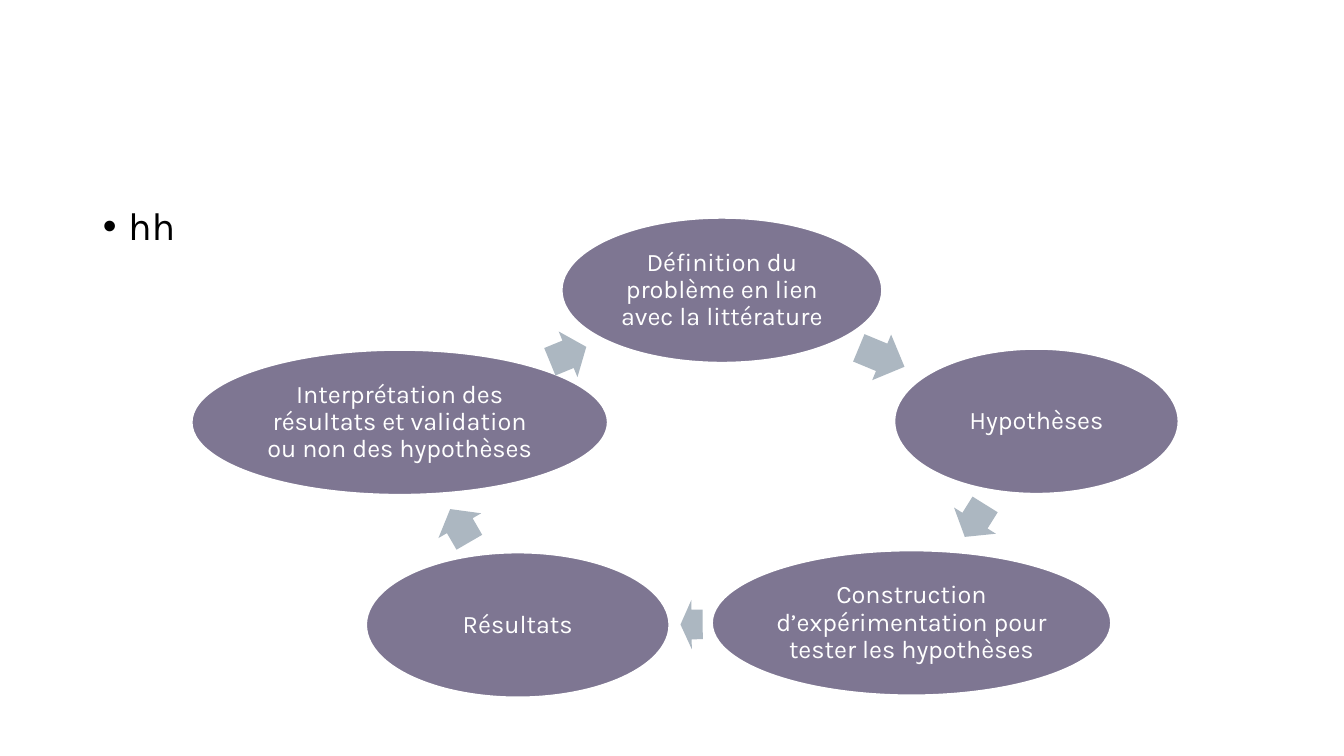
from pptx import Presentation
from pptx.dml.color import RGBColor
from pptx.enum.shapes import MSO_SHAPE
from pptx.enum.text import MSO_ANCHOR, PP_ALIGN
from pptx.oxml.ns import qn
from pptx.util import Inches, Pt
from lxml import etree

OVAL, ARROW = MSO_SHAPE.OVAL, MSO_SHAPE.RIGHT_ARROW
MIDDLE, CENTER = MSO_ANCHOR.MIDDLE, PP_ALIGN.CENTER
PURPLE = RGBColor(0x7E, 0x76, 0x92)
GREY = RGBColor(0xAC, 0xB7, 0xC1)
WHITE = RGBColor(0xFF, 0xFF, 0xFF)
BLACK = RGBColor(0, 0, 0)
FONT = "Karla"
W, H = Inches(13.33), Inches(7.5)
STEP_HEIGHT, ARROW_HEIGHT = 19.2, 6.53

STEPS = [
    ("Définition du problème en lien avec la littérature", 53.71, 38.4, 23.86),
    ("Hypothèses", 77.12, 55.73, 21.16),
    ("Construction d’expérimentation pour tester les hypothèses", 67.82, 82.4, 29.71),
    ("Résultats", 38.52, 82.67, 22.58),
    ("Interprétation des résultats et validation ou non des hypothèses", 29.74, 55.87, 30.98),
]
ARROWS = [
    (65.6, 47.27, 3.68, 22.5),
    (72.54, 68.87, 2.85, 122),
    (51.46, 82.6, 1.65, 179.6),
    (34.21, 69.53, 2.85, 239.9),
    (42.27, 46.87, 2.93, 337.7),
]


def across(percent):
    """Return a share of the slide width."""
    return round(W * percent / 100)


def down(percent):
    """Return a share of the slide height."""
    return round(H * percent / 100)


def style_paragraph(p, size, color):
    """Set the font and line spacing of a paragraph."""
    p.font.name = FONT
    p.font.size = Pt(size)
    p.font.color.rgb = color
    p.line_spacing = 0.9


def add_centred(s, kind, cx, cy, width, height, color):
    """Add a filled shape around a centre given in slide shares."""
    sp = s.shapes.add_shape(kind, across(cx - width / 2), down(cy - height / 2),
                            across(width), down(height))
    sp.shadow.inherit = False
    sp.fill.solid()
    sp.fill.fore_color.rgb = color
    return sp


def add_step(s, text, cx, cy, width):
    """Add one labelled ellipse of the cycle."""
    sp = add_centred(s, OVAL, cx, cy, width, STEP_HEIGHT, PURPLE)
    sp.line.color.rgb = WHITE
    sp.line.width = Pt(1.5)
    tf = sp.text_frame
    tf.word_wrap = True
    tf.vertical_anchor = MIDDLE
    tf.margin_left = tf.margin_right = tf.margin_top = tf.margin_bottom = Inches(0.03)
    p = tf.paragraphs[0]
    p.text = text
    p.alignment = CENTER
    style_paragraph(p, 18, WHITE)


def add_arrow(s, cx, cy, width, angle):
    """Add one rotated block arrow between two steps."""
    sp = add_centred(s, ARROW, cx, cy, width, ARROW_HEIGHT, GREY)
    sp.line.fill.background()
    sp.adjustments[0] = 0.6
    sp.adjustments[1] = 0.5
    sp.rotation = angle


def fill_body(body, text):
    """Place the body placeholder and write its bullet."""
    body.left, body.top = across(6.9), down(26.67)
    body.width, body.height = across(86.27), down(63.47)
    p = body.text_frame.paragraphs[0]
    p.text = text
    style_paragraph(p, 28, BLACK)
    p.space_before = Pt(10)
    pPr = p._p.get_or_add_pPr()
    pPr.set("marL", str(Inches(0.25)))
    pPr.set("indent", str(-Inches(0.25)))
    bullet = etree.Element(qn("a:buChar"), char="•")
    pPr.find(qn("a:defRPr")).addprevious(bullet)


def main():
    """Build the slide and save it."""
    prs = Presentation()
    prs.slide_width, prs.slide_height = W, H
    s = prs.slides.add_slide(prs.slide_layouts[1])
    title = s.shapes.title.element
    title.getparent().remove(title)
    fill_body(s.placeholders[1], "hh")
    for step, arrow in zip(STEPS, ARROWS):
        add_step(s, *step)
        add_arrow(s, *arrow)
    prs.save("out.pptx")


if __name__ == "__main__":
    main()
